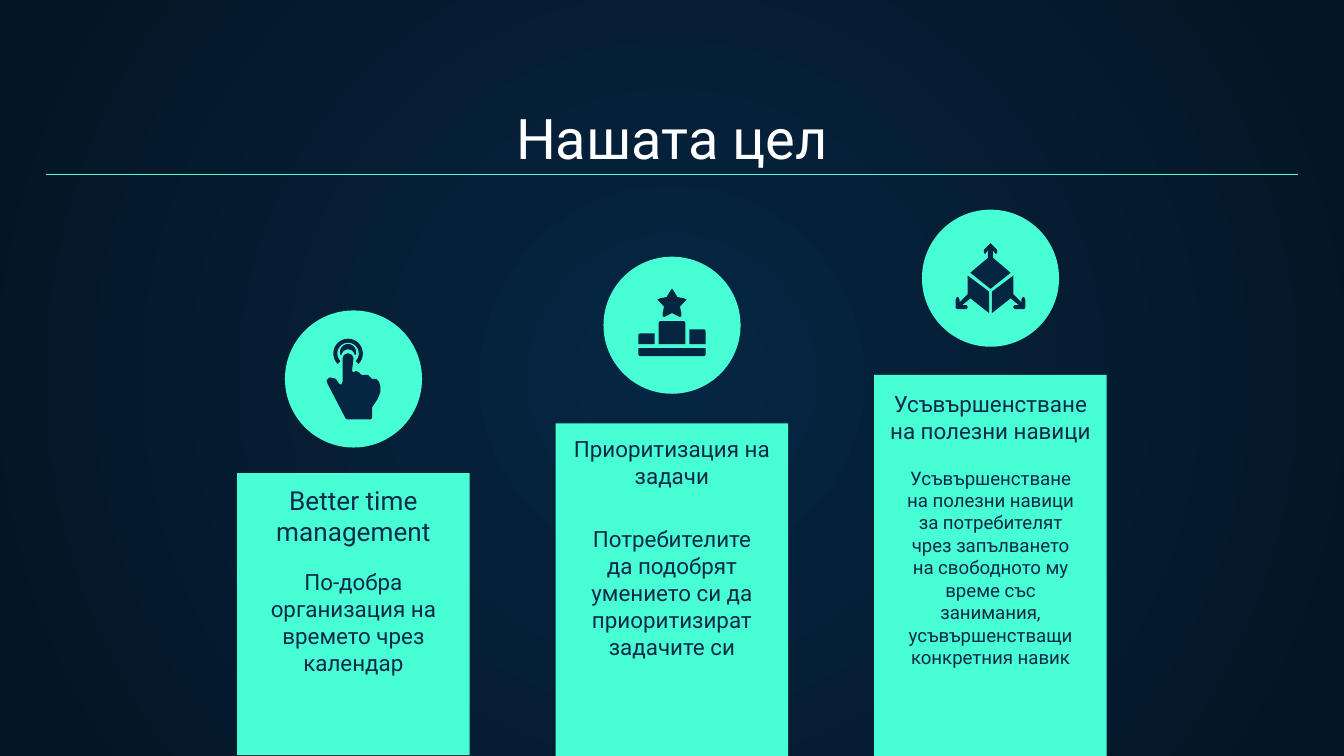
import math
from dataclasses import dataclass

import pptx
import pptx.util
import pptx.dml.color
import pptx.enum.shapes
import pptx.enum.text
import pptx.oxml
import pptx.oxml.ns
from pptx.util import Inches

SHAPES = pptx.enum.shapes.MSO_SHAPE
ANCHOR = pptx.enum.text.MSO_ANCHOR
qn = pptx.oxml.ns.qn


def rgb(value):
    return pptx.dml.color.RGBColor.from_string(value)


@dataclass(frozen=True)
class Theme:
    font: str = "Roboto"
    mint: str = "48FFD5"
    navy: str = "052643"
    night: str = "041523"
    ink: str = "0E2A47"
    white: str = "FFFFFF"
    title: int = 30
    heading: int = 14
    body: int = 12
    small: int = 10
    rule: float = 0.75


THEME = Theme()
PAGE_CENTER, CARD_WIDTH, CARD_PITCH = 5, 1.73, 2.37
DESCRIPTION_WIDTH = 1.52
CIRCLE = 1.02

# Card: top, height; circle top; heading: text, size, top, width, height;
# description: text, size, top, height
CARDS = [
    (3.52, 2.1, 2.31,
     ("Better time management", THEME.heading, 3.96, 2.27, 0.21),
     ("По-добра организация на времето чрез календар", THEME.body, 4.13, 0.55)),
    (3.15, 2.51, 1.91,
     ("Приоритизация на задачи", THEME.body, 3.49, 1.9, 0.25),
     ("Потребителите да подобрят умението си да приоритизират задачите си",
      THEME.body, 3.81, 0.82)),
    (2.79, 2.86, 1.56,
     ("Усъвършенстване на полезни навици", THEME.body, 3.27, 1.71, 0.06),
     ("Усъвършенстване на полезни навици за потребителят чрез запълването "
      "на свободното му време със занимания, усъвършенстващи конкретния навик",
      THEME.small, 3.37, 0.55)),
]


def set_background(page):
    fill = page.background.fill
    fill.gradient()
    for stop, position, color in zip(fill.gradient_stops, (0, 1), (THEME.navy, THEME.night)):
        stop.position = position
        stop.color.rgb = rgb(color)
    gradient = page._element.find(".//" + qn("a:gradFill"))
    gradient.replace(gradient.find(qn("a:lin")), pptx.oxml.parse_xml(
        f'<a:path {pptx.oxml.ns.nsdecls("a")} path="circle">'
        '<a:fillToRect l="50000" t="50000" r="50000" b="50000"/></a:path>'))


def paint(shape, color):
    shape.shadow.inherit = False
    shape.fill.solid()
    shape.fill.fore_color.rgb = rgb(color)
    shape.line.fill.background()


def add_block(page, kind, center, top, width, height):
    place = (center - width / 2, top, width, height)
    paint(page.shapes.add_shape(kind, *map(Inches, place)), THEME.mint)


def write_text(page, box, place, text, size, color, anchor):
    page.shapes._spTree.append(box._element)  # bring in front of the cards
    center, top, width, height = place
    box.left, box.top, box.width, box.height = map(
        Inches, (center - width / 2, top, width, height))
    frame = box.text_frame
    frame.text = text
    margins = dict.fromkeys(
        ("margin_left", "margin_top", "margin_right", "margin_bottom"), Inches(0.1))
    para = frame.paragraphs[0]
    properties = para._p.get_or_add_pPr()
    properties.set("marL", "0")
    properties.set("indent", "0")
    properties.append(pptx.oxml.parse_xml(f'<a:buNone {pptx.oxml.ns.nsdecls("a")}/>'))
    formats = (
        (frame, {"word_wrap": True, "vertical_anchor": anchor,
                 "auto_size": pptx.enum.text.MSO_AUTO_SIZE.NONE, **margins}),
        (para, {"alignment": pptx.enum.text.PP_ALIGN.CENTER,
                "space_before": pptx.util.Pt(0)}),
        (para.runs[0].font, {"name": THEME.font, "size": pptx.util.Pt(size), "bold": False}),
    )
    for target, values in formats:
        for name, value in values.items():
            setattr(target, name, value)
    para.runs[0].font.color.rgb = rgb(color)


def add_rule(page, left, right, y):
    rule = page.shapes.add_connector(
        pptx.enum.shapes.MSO_CONNECTOR.STRAIGHT, *map(Inches, (left, y, right, y)))
    rule.line.color.rgb = rgb(THEME.mint)
    rule.line.width = pptx.util.Pt(THEME.rule)
    rule._element.spPr.append(
        pptx.oxml.parse_xml(f'<a:effectLst {pptx.oxml.ns.nsdecls("a")}/>'))


def mirror(points, axis):
    return [(2 * axis - x, y) for x, y in reversed(points)]


def symmetric(half, axis):
    return half + mirror(half, axis)


def arc(x, y, radius, start, end, steps=24):
    angles = [math.radians(start + (end - start) * i / steps) for i in range(steps + 1)]
    return [(x + radius * math.cos(a), y + radius * math.sin(a)) for a in angles]


def add_icon(page, outlines):
    group = page.shapes.add_group_shape()
    for outline in outlines:
        points = [(Inches(x), Inches(y)) for x, y in outline]
        builder = group.shapes.build_freeform(*points[0])
        builder.add_line_segments(points[1:], close=True)
        paint(builder.convert_to_shape(), THEME.navy)


def touch_outlines():
    x, y = 2.59, 2.63
    ring = arc(x, y, 0.11, 135, 405) + arc(x, y, 0.08, 405, 135)
    inner_ring = arc(x, 2.62, 0.06, 160, 380) + arc(x, 2.65, 0.05, 350, 190)
    hand = arc(x, 2.67, 0.04, 180, 360) + [
        (2.62, 2.76), (2.63, 2.77), (2.65, 2.76), (2.67, 2.77), (2.69, 2.79),
        (2.72, 2.79), (2.74, 2.79), (2.76, 2.81), (2.77, 2.82), (2.8, 2.82),
        (2.82, 2.84), (2.83, 2.87), (2.83, 2.92), (2.81, 2.97), (2.77, 3.03),
        (2.77, 3.11), (2.76, 3.12), (2.58, 3.12), (2.57, 3.11), (2.44, 2.86),
        (2.43, 2.83), (2.45, 2.81), (2.47, 2.81), (2.5, 2.82), (2.52, 2.85),
        (2.53, 2.86), (2.54, 2.86), (2.55, 2.84)]
    return [ring, inner_ring, hand]


def podium_outlines():
    axis = PAGE_CENTER
    star = [(5, 2.15), (4.99, 2.16), (4.96, 2.21), (4.91, 2.22), (4.89, 2.23),
            (4.9, 2.24), (4.94, 2.28), (4.93, 2.34), (4.93, 2.35), (4.94, 2.36), (5, 2.33)]
    middle = [(4.9, 2.56), (4.9, 2.4), (4.91, 2.39)]
    base = [(4.75, 2.59), (4.75, 2.64), (4.76, 2.65)]
    left_step = [(4.76, 2.48), (4.75, 2.49), (4.75, 2.56), (4.87, 2.56), (4.87, 2.48)]
    right_step = [(5.13, 2.45), (5.13, 2.56), (5.25, 2.56), (5.25, 2.46), (5.24, 2.45)]
    return [symmetric(half, axis) for half in (star, middle, base)] + [left_step, right_step]


def cube_outlines():
    axis = PAGE_CENTER + CARD_PITCH
    top = [(7.37, 1.81), (7.36, 1.82), (7.32, 1.86), (7.32, 1.88), (7.33, 1.89),
           (7.34, 1.88), (7.35, 1.86), (7.35, 1.92), (7.22, 2.03), (7.37, 2.15)]
    side = [(7.2, 2.05), (7.2, 2.19), (7.14, 2.25), (7.14, 2.23), (7.13, 2.21),
            (7.12, 2.21), (7.11, 2.23), (7.11, 2.29), (7.12, 2.3), (7.19, 2.3),
            (7.2, 2.29), (7.2, 2.28), (7.19, 2.27), (7.16, 2.27), (7.22, 2.22),
            (7.36, 2.33), (7.36, 2.17)]
    return [symmetric(top, axis), mirror(side, axis), side]


def add_card(page, center, card, placeholder):
    top, height, circle_top, heading, description = card
    add_block(page, SHAPES.RECTANGLE, center, top, CARD_WIDTH, height)
    add_block(page, SHAPES.OVAL, center, circle_top, CIRCLE, CIRCLE)

    text, size, y, box_height = description
    write_text(page, placeholder, (center, y, DESCRIPTION_WIDTH, box_height),
               text, size, THEME.ink, ANCHOR.TOP)
    text, size, y, width, box_height = heading
    box = page.shapes.add_textbox(0, 0, 0, 0)
    write_text(page, box, (center, y, width, box_height),
               text, size, THEME.ink, ANCHOR.BOTTOM)


def main():
    deck = pptx.Presentation()
    deck.slide_width = Inches(10)
    deck.slide_height = deck.slide_width * 9 // 16
    page = deck.slides.add_slide(deck.slide_layouts.get_by_name("Comparison"))
    title, *bodies = list(page.placeholders)
    set_background(page)

    # Title and rule
    write_text(page, title, (PAGE_CENTER, 0.71, 9.32, 0.66), "Нашата цел",
               THEME.title, THEME.white, ANCHOR.BOTTOM)
    add_rule(page, 0.34, 9.66, 1.3)

    # Rising cards with their icons
    icons = (touch_outlines(), podium_outlines(), cube_outlines())
    for index, (card, body, icon) in enumerate(zip(CARDS, bodies, icons)):
        add_card(page, PAGE_CENTER + (index - 1) * CARD_PITCH, card, body)
        add_icon(page, icon)

    # Unused placeholders
    for body in bodies[len(CARDS):]:
        body._element.getparent().remove(body._element)

    deck.save("out.pptx")


if __name__ == "__main__":
    main()
